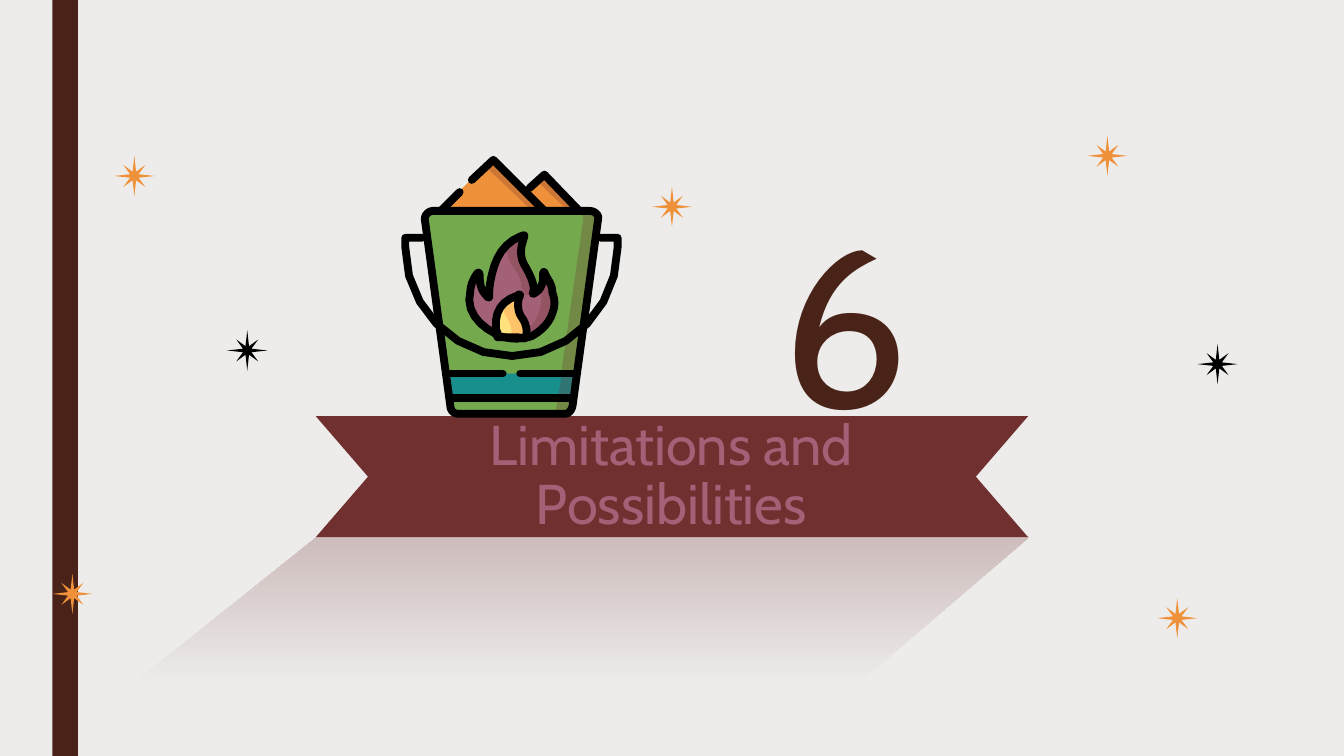
from collections import namedtuple
from dataclasses import dataclass
from math import cos, pi, sin

from lxml import etree
from pptx import Presentation
from pptx.dml.color import RGBColor
from pptx.enum.shapes import MSO_SHAPE
from pptx.enum.text import MSO_ANCHOR, PP_ALIGN
from pptx.oxml.ns import qn
from pptx.util import Pt

RECTANGLE = MSO_SHAPE.RECTANGLE
MIDDLE = MSO_ANCHOR.MIDDLE
CENTER = PP_ALIGN.CENTER

Box = namedtuple("Box", "left top width height")


@dataclass(frozen=True)
class Theme:
    font: str = "Cabin"
    title_size: int = 30
    number_size: int = 120
    line_spacing: float = 0.89
    shade_alpha: int = 26
    stroke: float = 4.2
    background: str = "EDECEB"
    brown: str = "4A2318"
    wine: str = "703030"
    plum: str = "A26176"
    orange: str = "EE913A"
    green: str = "74A94E"
    teal: str = "188E8D"
    yellow: str = "FFE17D"
    amber: str = "FFC369"
    black: str = "000000"


THEME = Theme()

BUCKET_VIEW = Box(298, 116, 164, 196)
BACK_PILE = "M407,131 L420,144 435,158 405,159 376,158 391,144 404,131 C405,130 406,130 407,131"
BACK_PILE_SHADE = "M407,131 L420,144 435,158 424,158 409,144 400,135 403,131 C405,130 406,130 407,131"
FRONT_PILE = "M369,120 L387,138 408,158 367,160 326,158 346,138 365,120 C366,119 368,119 369,120"
FRONT_PILE_SHADE = "M369,120 L387,138 408,158 397,158 376,138 361,124 365,120 C366,119 368,119 369,120"
PAIL = """M322,157 L439,157 C442,157 446,160 445,163 L426,302 C425,306 423,308 420,308
    L341,308 C337,308 335,305 335,302 L316,163 C316,160 319,157 322,157"""
PAIL_SHADE = """M428,157 L439,157 C442,157 446,160 445,163 L426,302 C425,306 423,308 420,308
    L409,308 C412,308 414,305 414,302 L434,163 C434,160 431,157 428,157"""
FLAME = """M368,248 C356,242 346,231 350,216 350,213 352,208 354,205 357,200 357,205 357,208
    357,212 359,218 362,220 362,221 364,222 364,221 L364,218 C364,214 365,208 366,204
    369,191 375,181 387,176 388,176 391,174 390,176 390,177 389,179 389,180
    387,185 387,192 390,197 393,202 398,211 397,217 396,218 396,220 398,218
    400,217 402,215 403,212 404,210 404,208 404,205 404,201 405,202 406,205
    409,210 411,213 411,218 413,223 413,228 411,233 409,240 403,246 396,250
    394,251 392,251 390,252 387,251 384,251 381,251 377,251 374,251 370,251
    370,249 369,249 368,248"""
FLAME_SHADE = """M397,216 C398,210 393,201 390,196 387,191 386,184 388,179 389,177 390,176 390,175
    391,173 388,175 387,175 383,176 380,179 377,181 376,186 378,191 380,196
    383,200 388,207 388,214 389,222 396,220 397,218 396,218 397,216 397,216
    M402,217 C403,222 403,227 401,232 399,240 393,245 387,249 386,249 385,249 385,250
    387,250 389,250 391,251 393,251 395,250 397,249 403,245 409,240 412,232
    413,227 413,222 413,217 411,212 409,208 407,204 405,201 405,200 405,204
    405,207 405,208 403,212 403,212 403,214 402,214 401,216 401,216 402,217"""
SPARK = """M391,251 C393,246 391,240 388,236 385,232 385,226 386,222 386,222 387,220 387,220
    387,218 385,220 385,220 373,224 368,232 369,244 369,245 370,248 371,250
    378,252 385,253 391,251"""
SPARK_SHADE = """M391,251 C393,246 391,240 388,236 385,232 385,226 386,222 386,222 387,220 387,220
    387,218 385,220 385,220 380,221 377,223 375,226 374,230 375,234 377,236
    380,241 382,248 380,252 384,252 388,252 391,251"""
BAND = "M332,278 L430,278 427,296 334,296"
BAND_SHADE = "M418,278 L415,296 427,296 429,278"
RIDGES = "M328,157 L342,143 M351,134 L367,119 405,157 M394,140 L405,130 431,157"
HANDLE = """M314,177 L301.5,177 301.5,184 C301.5,228 337,265 381,265
    425,265 459.5,228 459.5,184 L459.5,177 447,177"""
HOOPS = "M333,278 L374,278 M387,278 L428,278 M335,296 L426,296"


def set_alpha(shape, percents):
    for color, percent in zip(shape._element.spPr.iter(qn("a:srgbClr")), percents):
        etree.SubElement(color, qn("a:alpha")).set("val", str(percent * 1000))


def paint(shape, color, alpha=100):
    shape.shadow.inherit = False
    shape.line.fill.background()
    shape.fill.solid()
    shape.fill.fore_color.rgb = RGBColor.from_string(color)
    if alpha < 100:
        set_alpha(shape, [alpha])


def ink(shape, color, width):
    shape.shadow.inherit = False
    shape.fill.background()
    shape.line.width = Pt(width)
    shape.line.color.rgb = RGBColor.from_string(color)
    line = shape.line._get_or_add_ln()
    line.set("cap", "rnd")
    etree.SubElement(line, qn("a:round"))


def add_outline(shapes, contours, close=True):
    contours = [[(Pt(x), Pt(y)) for x, y in contour] for contour in contours]
    builder = shapes.build_freeform(*contours[0][0])
    for index, contour in enumerate(contours):
        if index:
            builder.move_to(*contour[0])
        builder.add_line_segments(contour[1:], close=close)
    return builder.convert_to_shape()


def bend(start, first, second, end, steps=6):
    for step in range(1, steps + 1):
        t = step / steps
        weights = ((1 - t) ** 3, 3 * t * (1 - t) ** 2, 3 * t * t * (1 - t), t ** 3)
        yield tuple(sum(w * v for w, v in zip(weights, axis))
                    for axis in zip(start, first, second, end))


def trace(drawing, box):
    scale_x, scale_y = box.width / BUCKET_VIEW.width, box.height / BUCKET_VIEW.height
    contours = []
    for contour in drawing.split("M")[1:]:
        command, points, pending = "L", [], []
        for token in contour.replace("L", "L ").replace("C", "C ").split():
            if token in ("L", "C"):
                command = token
                continue
            x, y = map(float, token.split(","))
            pending.append((box.left + (x - BUCKET_VIEW.left) * scale_x,
                            box.top + (y - BUCKET_VIEW.top) * scale_y))
            if command == "L":
                points.append(pending.pop())
            elif len(pending) == 3:
                points.extend(bend(points[-1], *pending))
                pending = []
        contours.append(points)
    return contours


def add_rail(page, box):
    rail = page.shapes.add_shape(RECTANGLE, *map(Pt, box))
    paint(rail, THEME.brown)


def add_banner(page, box):
    shapes = page.shapes.add_group_shape().shapes
    left, top, width, height = box
    right, bottom, middle, notch = left + width, top + height, top + height / 2, 28
    cast = add_outline(shapes, [[(left, bottom), (right, bottom),
                                 (right - 90, bottom + 77), (left - 95.8, bottom + 76.5)]])
    paint(cast, THEME.wine)
    cast.fill.gradient()
    cast.fill.gradient_angle = 270
    for stop in cast.fill.gradient_stops:
        stop.color.rgb = RGBColor.from_string(THEME.wine)
    set_alpha(cast, [THEME.shade_alpha, 0])
    ribbon = add_outline(shapes, [[(left, top), (left + notch, middle), (left, bottom),
                                   (right, bottom), (right - notch, middle), (right, top)]])
    paint(ribbon, THEME.wine)


def add_star(shapes, box, color):
    radius = box.width / 2
    radii = [radius, radius * 0.23, radius * 0.77, radius * 0.23] * 4
    points = [(box.left + radius + reach * sin(index * pi / 8),
               box.top + radius - reach * cos(index * pi / 8))
              for index, reach in enumerate(radii)]
    paint(add_outline(shapes, [points]), color)


def add_bucket(page, box):
    shapes = page.shapes.add_group_shape().shapes
    shade = (THEME.wine, THEME.shade_alpha)
    layers = [
        (BACK_PILE, THEME.orange), (BACK_PILE_SHADE, *shade),
        (FRONT_PILE, THEME.orange), (FRONT_PILE_SHADE, *shade),
        (PAIL, THEME.green), (FLAME, THEME.plum), (FLAME_SHADE, *shade),
        (SPARK, THEME.yellow), (SPARK_SHADE, THEME.amber), (PAIL_SHADE, *shade),
        (BAND, THEME.teal), (BAND_SHADE, *shade),
    ]
    for drawing, *look in layers:
        paint(add_outline(shapes, trace(drawing, box)), *look)
    strokes = " ".join([RIDGES, PAIL, FLAME, SPARK, HANDLE, HOOPS])
    ink(add_outline(shapes, trace(strokes, box), close=False), THEME.black, THEME.stroke)


def add_text(page, box, text, size, color):
    frame = page.shapes.add_textbox(*map(Pt, box)).text_frame
    frame.word_wrap = True
    frame.vertical_anchor = MIDDLE
    frame.margin_left = frame.margin_right = frame.margin_top = frame.margin_bottom = Pt(7.2)
    frame.text = text
    para = frame.paragraphs[0]
    para.alignment = CENTER
    para.line_spacing = THEME.line_spacing
    font = para.runs[0].font
    font.name, font.size = THEME.font, Pt(size)
    font.color.rgb = RGBColor.from_string(color)


def add_section_page(deck, box):
    page = deck.slides.add_slide(deck.slide_layouts[6])
    page.background.fill.solid()
    page.background.fill.fore_color.rgb = RGBColor.from_string(THEME.background)
    add_rail(page, Box(box.left + 28, box.top, 13.7, box.height))
    add_banner(page, Box(box.left + 169.2, box.top + 223, 381.6, 64.8))
    sky = page.shapes.add_group_shape().shapes
    places = {THEME.black: [(641.5, 184.3), (121.7, 177)],
              THEME.orange: [(28, 307.4), (61.2, 83.5), (582.5, 72.7), (349.2, 100), (619.9, 320.4)]}
    for color, corners in places.items():
        for x, y in corners:
            add_star(sky, Box(box.left + x, box.top + y, 21.6, 21.6), color)
    add_text(page, Box(box.left + 197.3, box.top + 226.8, 324.7, 57.6),
             "Limitations and Possibilities", THEME.title_size, THEME.plum)
    add_text(page, Box(box.left + 378.7, box.top + 128.9, 147.6, 102.2),
             "6", THEME.number_size, THEME.brown)
    add_bucket(page, Box(box.left + 214.6, box.top + 83.5, 118.1, 141.1))


def main():
    deck = Presentation()
    deck.slide_width, deck.slide_height = Pt(720), Pt(405)
    add_section_page(deck, Box(0, 0, 720, 405))
    deck.save("out.pptx")


if __name__ == "__main__":
    main()
